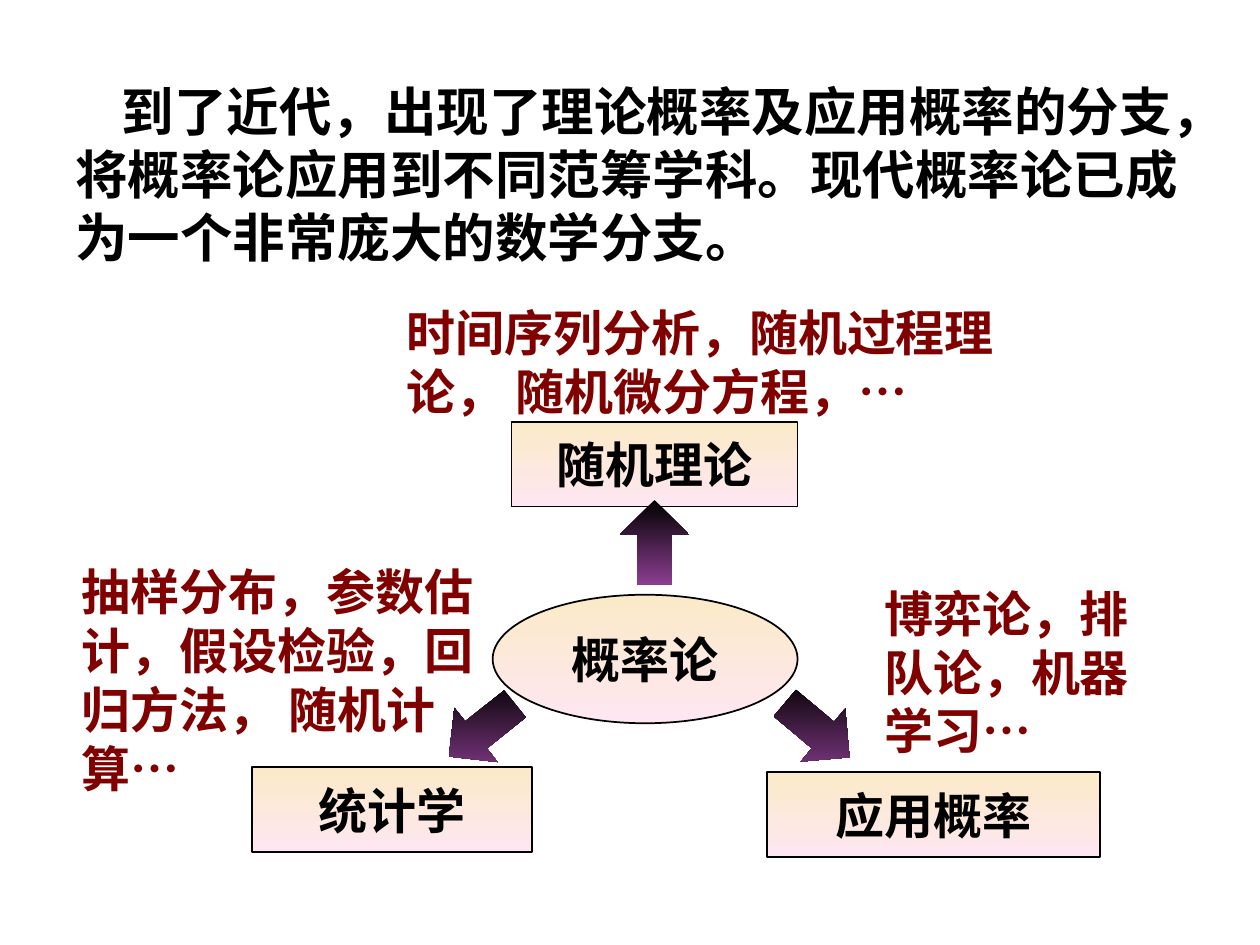
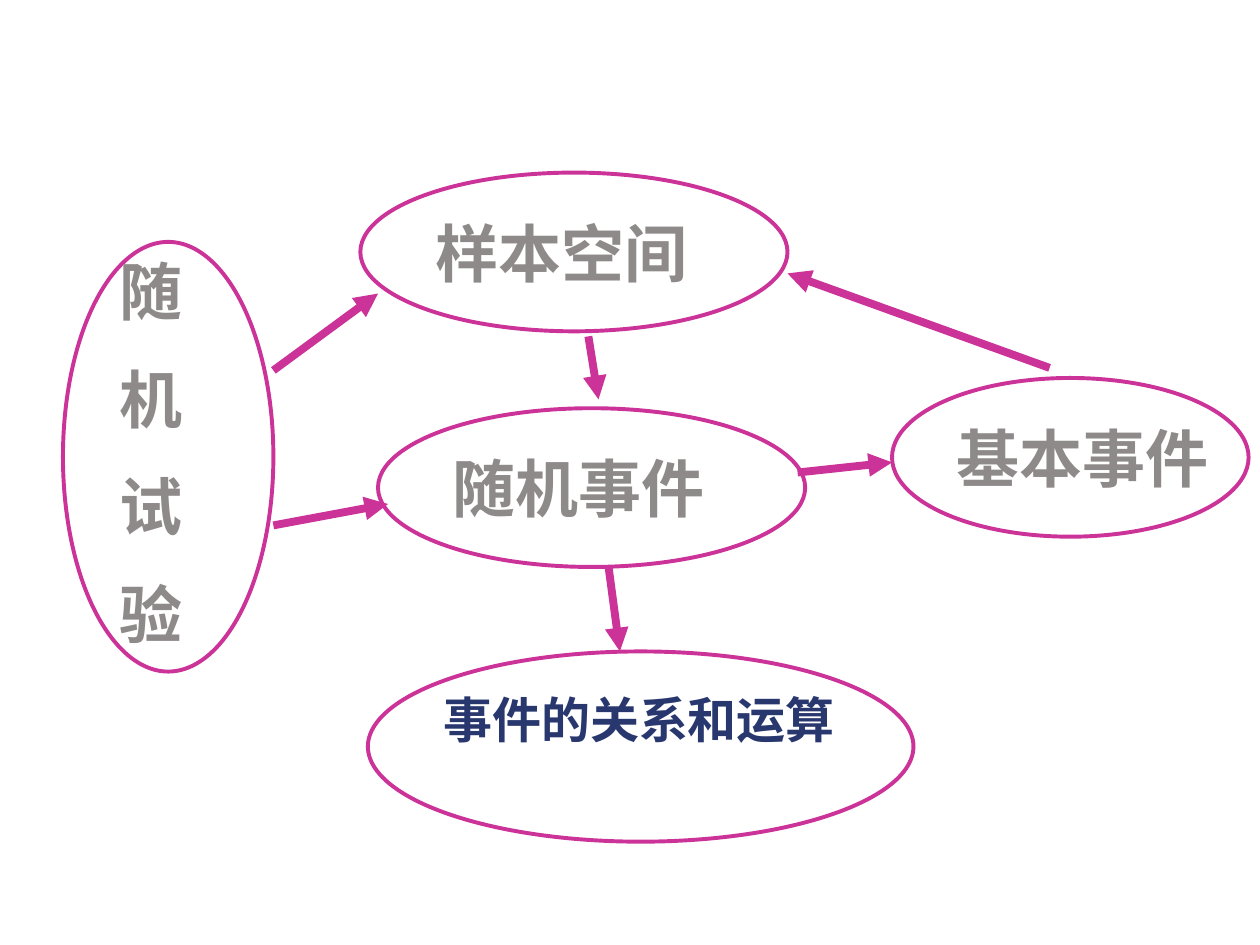
from lxml import etree
from pptx import Presentation
from pptx.dml.color import RGBColor
from pptx.enum.shapes import MSO_CONNECTOR, MSO_SHAPE
from pptx.enum.text import MSO_ANCHOR, MSO_AUTO_SIZE, PP_ALIGN
from pptx.oxml.ns import qn
from pptx.util import Inches, Pt

RECTANGLE, OVAL, UP_ARROW = MSO_SHAPE.RECTANGLE, MSO_SHAPE.OVAL, MSO_SHAPE.UP_ARROW
STRAIGHT = MSO_CONNECTOR.STRAIGHT
MIDDLE = MSO_ANCHOR.MIDDLE
GROW = MSO_AUTO_SIZE.SHAPE_TO_FIT_TEXT
LEFT, CENTER = PP_ALIGN.LEFT, PP_ALIGN.CENTER

FONT = "Noto Sans CJK SC"
COLORS = {
    "black": "000000",
    "cream": "FBEAC7",
    "blush": "FEE7F2",
    "purple": "8C3D91",
    "maroon": "800000",
    "magenta": "CC3399",
    "gray": "8F8A8A",
    "navy": "28376E",
}


def color(name):
    return RGBColor.from_string(COLORS[name])


def write(box, lines, size, ink, align=LEFT, wrap=False):
    """Fill a box with bold paragraphs in the shared font."""
    frame = box.text_frame
    frame.word_wrap = wrap
    for index, line in enumerate(lines):
        para = frame.add_paragraph() if index else frame.paragraphs[0]
        para.alignment = align
        span = para.add_run()
        span.text = line
        span.font.name = FONT
        span.font.size = Pt(size)
        span.font.bold = True
        span.font.color.rgb = color(ink)
        east_asian = etree.SubElement(span.font._element, qn("a:ea"))
        east_asian.set("typeface", FONT)
    return frame


def add_text(page, place, text, size, ink, wrap=True):
    box = page.shapes.add_textbox(*map(Inches, place))
    frame = write(box, [text], size, ink, wrap=wrap)
    if wrap:
        frame.auto_size = GROW
    return frame


def add_shape(page, kind, place, outline=None, width=1):
    shape = page.shapes.add_shape(kind, *map(Inches, place))
    shape.shadow.inherit = False
    shape.fill.background()
    if outline:
        shape.line.color.rgb = color(outline)
        shape.line.width = Pt(width)
    else:
        shape.line.fill.background()
    shape.text_frame.vertical_anchor = MIDDLE
    return shape


def shade(shape, top, bottom):
    """Vertical gradient that stays upright when the shape turns."""
    shape.fill.gradient()
    shape.fill.gradient_angle = 270
    for stop, name in zip(shape.fill.gradient_stops, (top, bottom)):
        stop.color.rgb = color(name)
    shape._element.spPr.find(qn("a:gradFill")).set("rotWithShape", "0")


def add_branch(page, kind, place, label):
    shape = add_shape(page, kind, place, "black")
    shade(shape, "cream", "blush")
    write(shape, [label], 28, "black", CENTER)


def add_block_arrow(page, left, top, rotation=0):
    arrow = add_shape(page, UP_ARROW, (left, top, 0.55, 0.67))
    arrow.rotation = rotation
    shade(arrow, "black", "purple")


def add_concept(page, place, lines=()):
    oval = add_shape(page, OVAL, place, "magenta", 2.25)
    return write(oval, lines, 36, "gray")


def add_arrow(page, start, end):
    arrow = page.shapes.add_connector(STRAIGHT, *map(Inches, start + end))
    arrow.line.color.rgb = color("magenta")
    arrow.line.width = Pt(4.5)
    etree.SubElement(arrow.line._get_or_add_ln(), qn("a:tailEnd")).set("type", "triangle")
    etree.SubElement(arrow._element.spPr, qn("a:effectLst"))


def build_branches(page):
    # Introduction with an indented first line
    intro = add_text(
        page, (0.5, 0.58, 9.26, 1.6),
        "到了近代，出现了理论概率及应用概率的分支，将概率论应用到不同范筹学科。"
        "现代概率论已成为一个非常庞大的数学分支。", 30, "black")
    intro.paragraphs[0]._p.get_or_add_pPr().set("indent", str(Inches(0.37)))

    # Probability theory and its three branches
    for kind, place, label in (
        (RECTANGLE, (4.06, 3.35, 2.27, 0.67), "随机理论"),
        (RECTANGLE, (2, 6.09, 2.22, 0.67), "统计学"),
        (RECTANGLE, (6.09, 6.13, 2.64, 0.67), "应用概率"),
        (OVAL, (3.91, 4.72, 2.42, 1.02), "概率论"),
    ):
        add_branch(page, kind, place, label)
    for left, top, rotation in ((4.92, 3.97, 0), (3.55, 5.46, 231.4), (6.21, 5.46, 130)):
        add_block_arrow(page, left, top, rotation)

    # Topics of each branch
    for place, topics in (
        ((3.13, 2.35, 4.96, 1.04), "时间序列分析，随机过程理论， 随机微分方程，…"),
        ((0.55, 4.41, 3.59, 1.97), "抽样分布，参数估计，假设检验，回归方法， 随机计算…"),
        ((6.92, 4.58, 2.5, 1.5), "博弈论，排队论，机器学习…"),
    ):
        add_text(page, place, topics, 28, "maroon")


def build_concepts(page):
    # Concepts
    add_concept(page, (3, 3.24, 3.39, 1.26), ["随机事件"])
    add_concept(page, (2.86, 1.37, 3.39, 1.26), ["样本空间"])
    add_concept(page, (7.08, 3, 2.83, 1.26), ["基本事件"])
    experiment = add_concept(page, (0.5, 1.92, 1.67, 3.41), "随机试验")
    for index, para in enumerate(experiment.paragraphs):
        para._p.get_or_add_pPr().set("marL", str(Inches(0.11)))
        para.line_spacing = 0.9
        para.space_before = Pt(22.5 if index else 0)

    # Relations and operations
    add_text(page, (3.42, 5.42, 3.42, 0.94), "事件的关系和运算", 28, "navy", wrap=False)
    add_concept(page, (2.92, 5.17, 4.33, 1.51))

    # Links between concepts
    for start, end in (
        ((2.17, 2.94), (3, 2.33)),
        ((4.67, 2.67), (4.75, 3.17)),
        ((4.83, 4.5), (4.92, 5.17)),
        ((2.17, 4.17), (3.08, 4)),
        ((6.33, 3.75), (7.08, 3.67)),
        ((8.33, 2.92), (6.25, 2.17)),
    ):
        add_arrow(page, start, end)


def main():
    deck = Presentation()
    deck.slide_width, deck.slide_height = Inches(10), Inches(7.5)
    blank = deck.slide_layouts[6]
    for build in (build_branches, build_concepts):
        build(deck.slides.add_slide(blank))
    deck.save("out.pptx")


if __name__ == "__main__":
    main()
